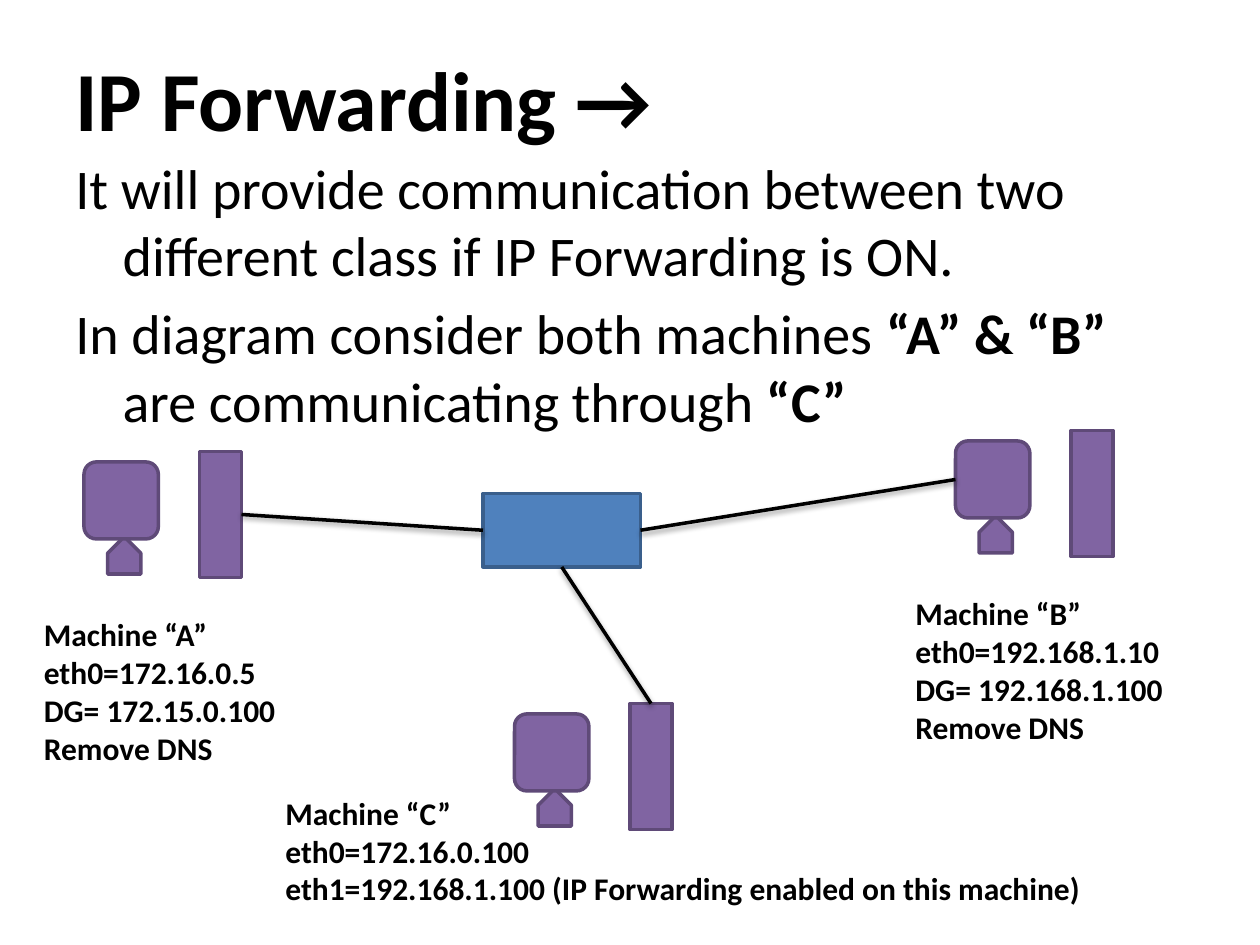
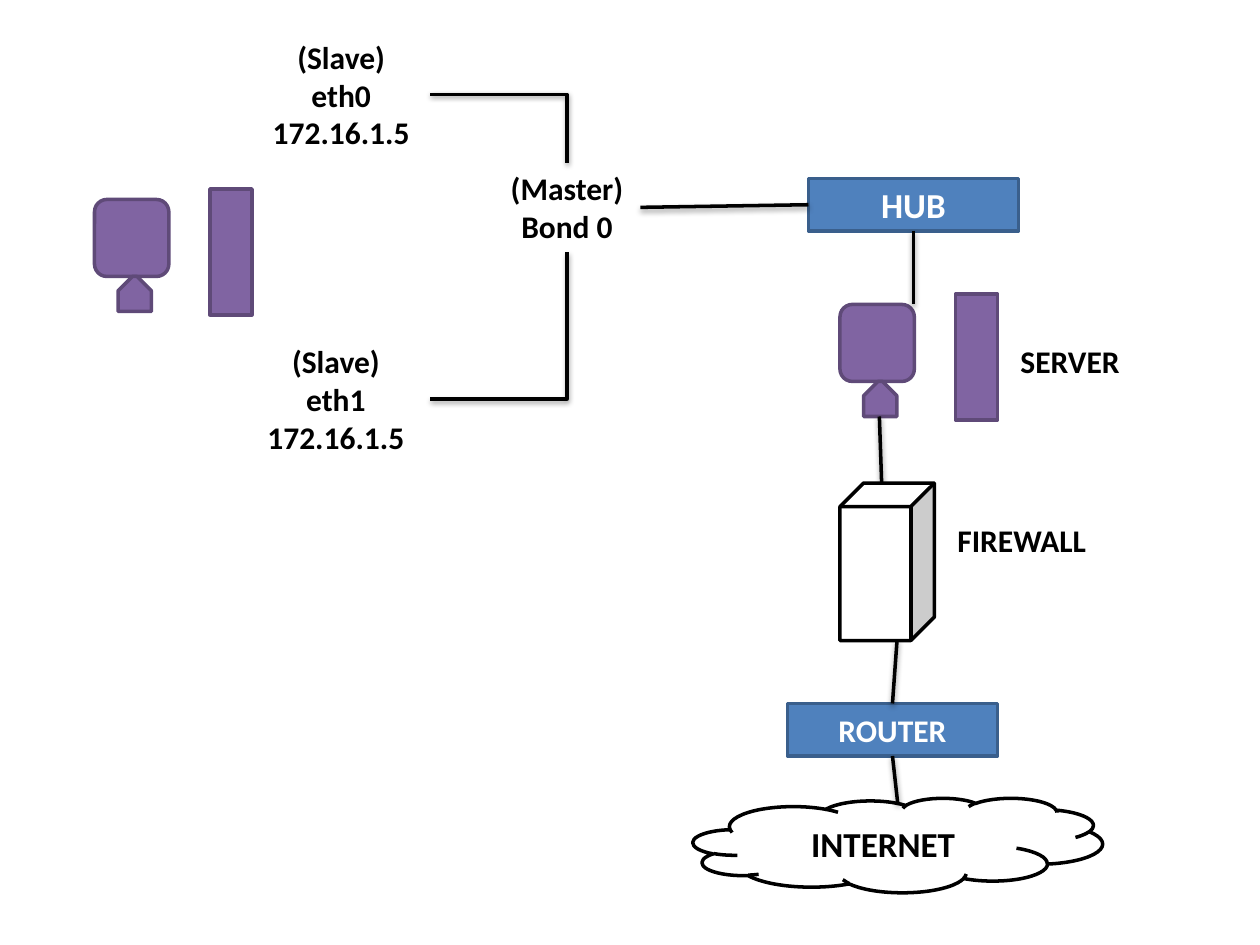
import pptx
import pptx.dml.color
import pptx.enum.shapes
import pptx.enum.text
import pptx.oxml
import pptx.oxml.ns
import pptx.util

Pt = pptx.util.Pt
SHAPE = pptx.enum.shapes.MSO_SHAPE
LINK = pptx.enum.shapes.MSO_CONNECTOR
ALIGN = pptx.enum.text.PP_ALIGN
ANCHOR = pptx.enum.text.MSO_ANCHOR

FONT = "Calibri"
BLACK, WHITE = "000000", "FFFFFF"
PURPLE, PURPLE_EDGE = "8064A2", "5F4A78"
BLUE, BLUE_EDGE = "4F81BD", "3A5F8C"
SHADOW = (
    f'<a:effectLst {pptx.oxml.ns.nsdecls("a")}>'
    '<a:outerShdw blurRad="40000" dist="20000" dir="5400000" rotWithShape="0">'
    '<a:srgbClr val="000000"><a:alpha val="38000"/></a:srgbClr>'
    "</a:outerShdw></a:effectLst>"
)


def rgb(color):
    """Turn a hex string into a colour."""
    return pptx.dml.color.RGBColor.from_string(color)


def write(sp, text, size=18, color=BLACK, bold=True, align=ALIGN.LEFT,
          anchor=ANCHOR.TOP, hang=0, before=0):
    """Fill a shape with lines; a line is a string or a list of (text, bold)."""
    tf = sp.text_frame
    tf.word_wrap = True
    tf.vertical_anchor = anchor
    lines = [text] if isinstance(text, str) else text
    for i, line in enumerate(lines):
        p = tf.add_paragraph() if i else tf.paragraphs[0]
        p.alignment = align
        p.space_before = Pt(before)
        if hang:
            pPr = p._p.get_or_add_pPr()
            pPr.set("marL", str(Pt(hang)))
            pPr.set("indent", str(-Pt(hang)))
        for words, strong in [(line, bold)] if isinstance(line, str) else line:
            r = p.add_run()
            r.text = words
            r.font.name = FONT
            r.font.size = Pt(size)
            r.font.bold = strong
            r.font.color.rgb = rgb(color)


def label(s, x, y, w, h, text, **fmt):
    """Add a text box."""
    write(s.shapes.add_textbox(Pt(x), Pt(y), Pt(w), Pt(h)), text, **fmt)


def box(parent, kind, x, y, w, h, fill, edge, text=None, **fmt):
    """Add a flat preset shape, with centred text if any."""
    sp = parent.shapes.add_shape(kind, Pt(x), Pt(y), Pt(w), Pt(h))
    sp.shadow.inherit = False
    sp.fill.solid()
    sp.fill.fore_color.rgb = rgb(fill)
    sp.line.color.rgb = rgb(edge)
    sp.line.width = Pt(2)
    if text:
        write(sp, text, align=ALIGN.CENTER, anchor=ANCHOR.MIDDLE, **fmt)
    return sp


def machine(s, x, y):
    """Draw a computer: a tower at x, y and a monitor on its stand to the left."""
    box(s, SHAPE.RECTANGLE, x, y, 24, 72, PURPLE, PURPLE_EDGE)
    screen = s.shapes.add_group_shape()
    box(screen, SHAPE.ROUNDED_RECTANGLE, x - 66, y + 6, 42.5, 44, PURPLE, PURPLE_EDGE)
    stand = box(screen, SHAPE.SNIP_2_SAME_RECTANGLE, x - 52.5, y + 50, 19, 20,
                PURPLE, PURPLE_EDGE)
    stand.adjustments[0] = 0.43
    stand.adjustments[1] = 0


def wire(s, x1, y1, x2, y2, bent=False):
    """Join two points with a shadowed line, straight or with one corner."""
    kind = LINK.ELBOW if bent else LINK.STRAIGHT
    c = s.shapes.add_connector(kind, Pt(x1), Pt(y1), Pt(x2), Pt(y2))
    c.line.color.rgb = rgb(BLACK)
    c.line.width = Pt(2)
    spPr = c._element.spPr
    if bent:
        spPr.find(pptx.oxml.ns.qn("a:prstGeom")).set("prst", "bentConnector2")
    spPr.append(pptx.oxml.parse_xml(SHADOW))


def forwarding_slide(s):
    """Build the IP forwarding slide."""
    label(s, 36, 21.6, 648, 68.4, "IP Forwarding →", size=48, anchor=ANCHOR.MIDDLE)
    label(s, 36, 84, 648, 426, [
        "It will provide communication between two different class "
        "if IP Forwarding is ON.",
        [("In diagram consider both machines ", False), ("“A” & “B” ", True),
         ("are communicating through ", False), ("“C”", True)],
    ], size=32, bold=False, hang=27, before=6.4)
    for x, y in [(114, 258), (360, 402), (612, 246)]:
        machine(s, x, y)
    box(s, SHAPE.RECTANGLE, 276, 282, 90, 42, BLUE, BLUE_EDGE)
    for ends in [(138, 294, 276, 303), (366, 303, 546, 274), (321, 324, 372, 402)]:
        wire(s, *ends)
    label(s, 18, 348, 150, 94.5,
          ["Machine “A”", "eth0=172.16.0.5", "DG= 172.15.0.100", "Remove DNS"])
    label(s, 156, 450, 486, 72.7,
          ["Machine “C”", "eth0=172.16.0.100",
           "eth1=192.168.1.100 (IP Forwarding enabled on this machine)"])
    label(s, 516, 336, 168, 94.5,
          ["Machine “B”", "eth0=192.168.1.10", "DG= 192.168.1.100", "Remove DNS"])


def bonding_slide(s):
    """Build the slide of bonded interfaces on the way to the internet."""
    for x, y in [(120, 108), (546, 168)]:
        machine(s, x, y)
    box(s, SHAPE.RECTANGLE, 462, 102, 120, 30, BLUE, BLUE_EDGE, "HUB",
        size=20, color=WHITE)
    box(s, SHAPE.RECTANGLE, 450, 402, 120, 30, BLUE, BLUE_EDGE, "ROUTER", color=WHITE)
    box(s, SHAPE.CLOUD, 396, 456, 234, 54, WHITE, BLACK, "INTERNET", size=20)
    label(s, 282, 93, 84, 51, ["(Master)", "Bond 0"], align=ALIGN.CENTER)
    for x, y, w, port in [(138, 192, 108, "eth1"), (144, 18, 102, "eth0")]:
        label(s, x, y, w, 72.7, ["(Slave)", port, "172.16.1.5"], align=ALIGN.CENTER)
    for y, bond_edge in [(54, 93), (228, 144)]:
        wire(s, 246, y, 324, bond_edge, bent=True)
    for ends in [(366, 118.5, 462, 117), (522, 132, 522, 174), (502.5, 238, 504, 282),
                 (512.6, 366, 510, 402), (510, 432, 513, 459)]:
        wire(s, *ends)
    box(s, SHAPE.CUBE, 480, 276, 54, 90, WHITE, BLACK)
    label(s, 540, 294, 96, 29, "FIREWALL")
    label(s, 576, 192, 96, 29, "SERVER")


def main():
    """Build both slides and save them."""
    prs = pptx.Presentation()
    prs.slide_width, prs.slide_height = Pt(720), Pt(540)
    for build in (forwarding_slide, bonding_slide):
        build(prs.slides.add_slide(prs.slide_layouts[6]))
    prs.save("out.pptx")


main()
